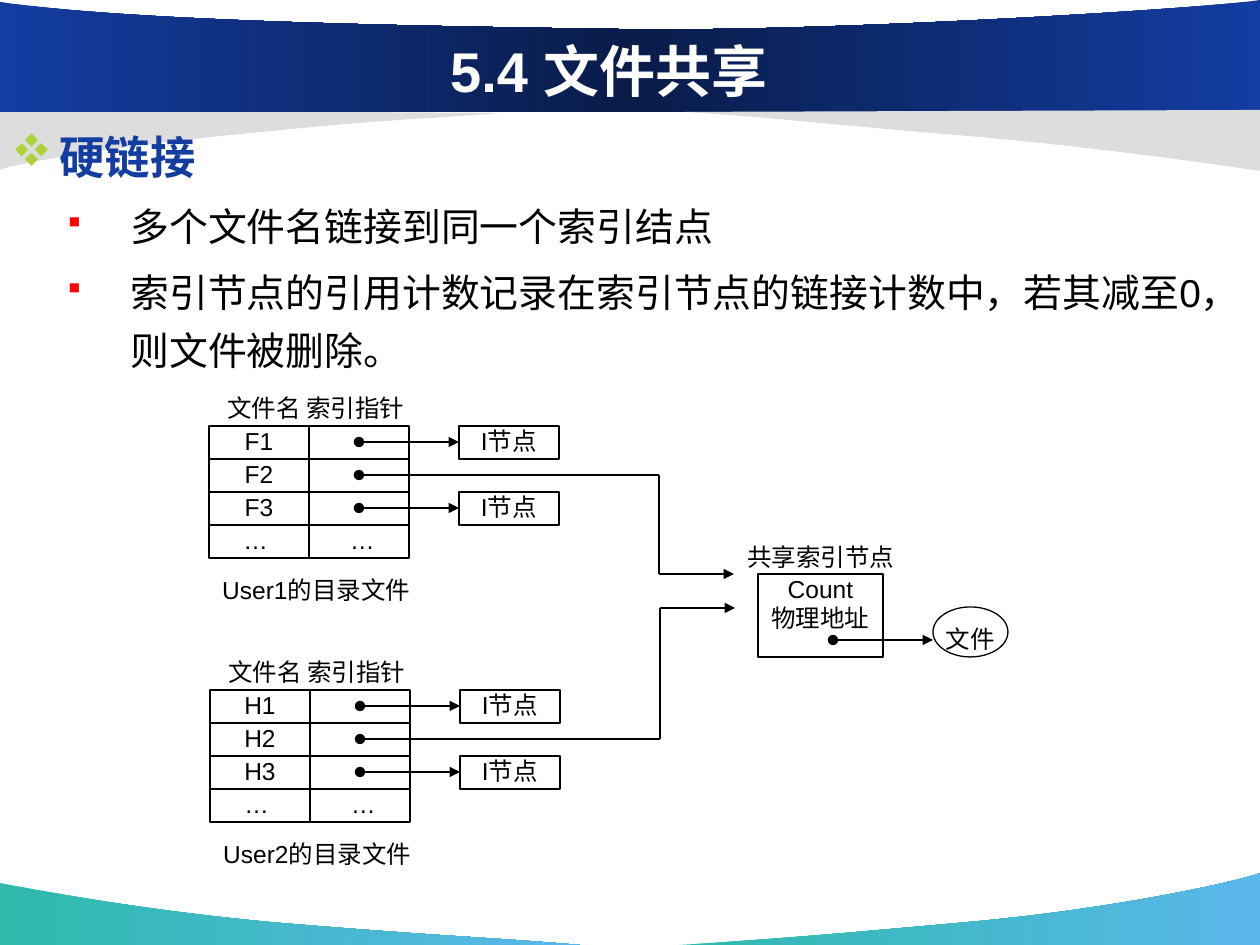
from copy import deepcopy

from lxml import etree
from pptx import Presentation
from pptx.dml.color import RGBColor
from pptx.enum.shapes import MSO_CONNECTOR, MSO_SHAPE
from pptx.enum.text import MSO_ANCHOR, PP_ALIGN
from pptx.oxml.ns import qn
from pptx.util import Pt

PX = 914400 / 126
STRAIGHT = MSO_CONNECTOR.STRAIGHT
RECTANGLE, OVAL = MSO_SHAPE.RECTANGLE, MSO_SHAPE.OVAL
TOP, MIDDLE = MSO_ANCHOR.TOP, MSO_ANCHOR.MIDDLE
CENTER, LEFT = PP_ALIGN.CENTER, PP_ALIGN.LEFT
FONT, BULLET_FONT = "Arial", "Wingdings"
COLORS = {
    "ink": "000000", "white": "FFFFFF", "blue": "143DA2", "navy": "091C4A",
    "gray": "DDDDDD", "teal": "2EBAAD", "sky": "5AB7EA",
    "lime": "AED337", "red": "FF0000",
}


def emu(px):
    """Turn px into EMU."""
    return round(px * PX)


def rgb(name):
    """Look up a named colour."""
    return RGBColor.from_string(COLORS[name])


def paint(fill, names):
    """Fill with one colour or with an even horizontal gradient."""
    if len(names) == 1:
        fill.solid()
        fill.fore_color.rgb = rgb(names[0])
        return
    fill.gradient()
    fill.gradient_angle = 0
    stops = fill._fill._gradFill.find(qn("a:gsLst"))
    for _ in names[2:]:
        stops.append(deepcopy(stops[0]))
    for index, (stop, name) in enumerate(zip(fill.gradient_stops, names)):
        stop.color.rgb = rgb(name)
        stop.position = index / (len(names) - 1)


def add_wave(shapes, left, top, curve, corners, names):
    """Draw a filled area whose edge is a chain of cubic curves."""
    outline = [(emu(left + x), emu(top + y)) for x, y in curve + corners]
    builder = shapes.build_freeform(*outline[0], scale=1.0)
    builder.add_line_segments(outline[1:], close=True)
    wave = builder.convert_to_shape()
    segments = list(wave._element.iter(qn("a:lnTo")))[:len(curve) - 1]
    for first in range(0, len(segments), 3):
        bend = etree.Element(qn("a:cubicBezTo"))
        segments[first].addprevious(bend)
        for segment in segments[first:first + 3]:
            bend.append(segment[0])
            segment.getparent().remove(segment)
    wave.shadow.inherit = False
    wave.line.fill.background()
    paint(wave.fill, names)


def add_run(paragraph, text, size, color="ink", bold=False):
    """Add one formatted run."""
    run = paragraph.add_run()
    run.text = text
    run.font.name = FONT
    run.font.size = Pt(size)
    run.font.bold = bold
    run.font.color.rgb = rgb(color)


def write(shape, lines, size=14, color="ink", bold=False, anchor=TOP):
    """Write centred lines without insets."""
    frame = shape.text_frame
    frame.word_wrap = True
    frame.vertical_anchor = anchor
    frame.margin_left = frame.margin_right = frame.margin_top = frame.margin_bottom = 0
    for index, line in enumerate(lines):
        paragraph = frame.add_paragraph() if index else frame.paragraphs[0]
        paragraph.alignment = CENTER
        add_run(paragraph, line, size, color, bold)


def add_label(shapes, left, top, width, height, text, **style):
    """Place a centred label."""
    label = shapes.add_textbox(*map(emu, (left, top, width, height)))
    write(label, [text], **style)


def add_node(shapes, left, top, width, height, lines=(), outline=RECTANGLE):
    """Draw an unfilled outlined node."""
    node = shapes.add_shape(outline, *map(emu, (left, top, width, height)))
    node.shadow.inherit = False
    node.fill.background()
    node.line.color.rgb = rgb("ink")
    node.line.width = Pt(0.75)
    write(node, lines)


def add_link(shapes, start, end, dot=False, arrow=False):
    """Draw a straight link with optional dot and arrowhead."""
    link = shapes.add_connector(STRAIGHT, *map(emu, (*start, *end)))
    link.line.color.rgb = rgb("ink")
    link.line.width = Pt(0.75)
    ln = link.line._get_or_add_ln()
    if dot:
        etree.SubElement(ln, qn("a:headEnd"), type="oval")
    if arrow:
        etree.SubElement(ln, qn("a:tailEnd"), type="triangle")
    etree.SubElement(link._element.spPr, qn("a:effectLst"))


def add_footer(shapes, left, top):
    """Draw the two waves at the foot."""
    names = ["teal", "sky"]
    add_wave(shapes, left, top,
             [(580, 72), (484, 64), (451, 64), (292, 51), (134, 38), (1, 10), (0, 10)],
             [(0, 72)], names)
    add_wave(shapes, left, top,
             [(679, 72), (774, 66), (814, 63), (969, 49), (1124, 35), (1247, 6), (1260, 0)],
             [(1260, 72)], names)


def add_header(shapes, left, top, title):
    """Draw the banner with its gray wings and title."""
    add_wave(shapes, left, top,
             [(501, 113), (417, 120), (401, 118), (262, 132), (122, 145), (11, 164), (0, 170)],
             [(0, 110)], ["gray"])
    add_wave(shapes, left, top,
             [(1260, 0), (1215, 8), (823, 33), (614, 29), (404, 26), (127, 21), (0, 2)],
             [(0, 112), (1260, 112)], ["blue", "navy", "blue"])
    add_wave(shapes, left, top,
             [(685, 112), (782, 118), (809, 123), (968, 136), (1126, 150), (1259, 171), (1260, 171)],
             [(1260, 110)], ["gray"])
    add_label(shapes, left + 116, top + 31, 986, 78, title,
              size=32, color="white", bold=True, anchor=MIDDLE)


def add_point(paragraph, text, margin, indent, bullet, bullet_color, scale, **style):
    """Write one bulleted point."""
    paragraph.alignment = LEFT
    paragraph.line_spacing = 1.25
    props = paragraph._p.get_or_add_pPr()
    props.set("marL", str(emu(margin)))
    props.set("indent", str(emu(-indent)))
    tint = etree.SubElement(props, qn("a:buClr"))
    etree.SubElement(tint, qn("a:srgbClr"), val=COLORS[bullet_color])
    etree.SubElement(props, qn("a:buSzPct"), val=str(scale * 1000))
    etree.SubElement(props, qn("a:buFont"), typeface=BULLET_FONT, charset="2")
    etree.SubElement(props, qn("a:buChar"), char=bullet)
    add_run(paragraph, text, **style)


def add_points(shapes, left, top, width, height, heading, points):
    """Write the heading and its points."""
    frame = shapes.add_textbox(*map(emu, (left, top, width, height))).text_frame
    frame.word_wrap = True
    add_point(frame.paragraphs[0], heading, 48, 48, "v", "lime", 100,
              size=25.9, color="blue", bold=True)
    for point in points:
        paragraph = frame.add_paragraph()
        paragraph.space_before = Pt(4.4)
        add_point(paragraph, point, 119, 63, "§", "red", 80, size=22.2)


def add_directory(shapes, left, top, user, files, joint):
    """Draw a user's directory whose second file leads to the shared node."""
    cell, row = 100, 33
    add_label(shapes, left, top - 33, 214, row, "文件名 索引指针")
    for index, name in enumerate([*files, "… "]):
        y = top + index * row
        middle = y + row // 2
        is_file = index < len(files)
        add_node(shapes, left, y, cell, row, [name])
        add_node(shapes, left + cell, y, cell, row, [] if is_file else [" …"])
        pointer = (left + 150, middle)
        if index == 1:
            corner = (left + 450, middle)
            turn = (corner[0], joint)
            add_link(shapes, pointer, corner, dot=True)
            add_link(shapes, corner, turn)
            add_link(shapes, turn, (turn[0] + 75, joint), arrow=True)
        elif is_file:
            add_node(shapes, left + 250, y, cell, row, ["I节点"])
            add_link(shapes, pointer, (left + 250, middle), dot=True, arrow=True)
    add_label(shapes, left, top + 149, 215, row, f"{user}的目录文件")


def add_shared_node(shapes, left, top):
    """Draw the shared index node and its file."""
    add_label(shapes, left - 49, top - 32, 224, 33, "共享索引节点")
    add_node(shapes, left, top, 125, 83, ["Count", "物理地址"])
    add_link(shapes, (left + 75, top + 66), (left + 175, top + 66), dot=True, arrow=True)
    add_node(shapes, left + 175, top + 33, 75, 50, outline=OVAL)
    add_label(shapes, left + 175, top + 50, 75, 33, "文件")


def main():
    """Build the slide."""
    deck = Presentation()
    deck.slide_width, deck.slide_height = emu(1260), emu(945)
    shapes = deck.slides.add_slide(deck.slide_layouts[6]).shapes
    add_footer(shapes, 0, 873)
    add_header(shapes, 0, 0, "5.4 文件共享")
    add_directory(shapes, 210, 690, "User2", ["H1", "H2", "H3"], 608)
    add_directory(shapes, 209, 426, "User1", ["F1", "F2", "F3"], 574)
    add_shared_node(shapes, 758, 574)
    add_points(shapes, -1, 109, 1260, 291, "硬链接", [
        "多个文件名链接到同一个索引结点",
        "索引节点的引用计数记录在索引节点的链接计数中，若其减至0，则文件被删除。",
    ])
    deck.save("out.pptx")


if __name__ == "__main__":
    main()
